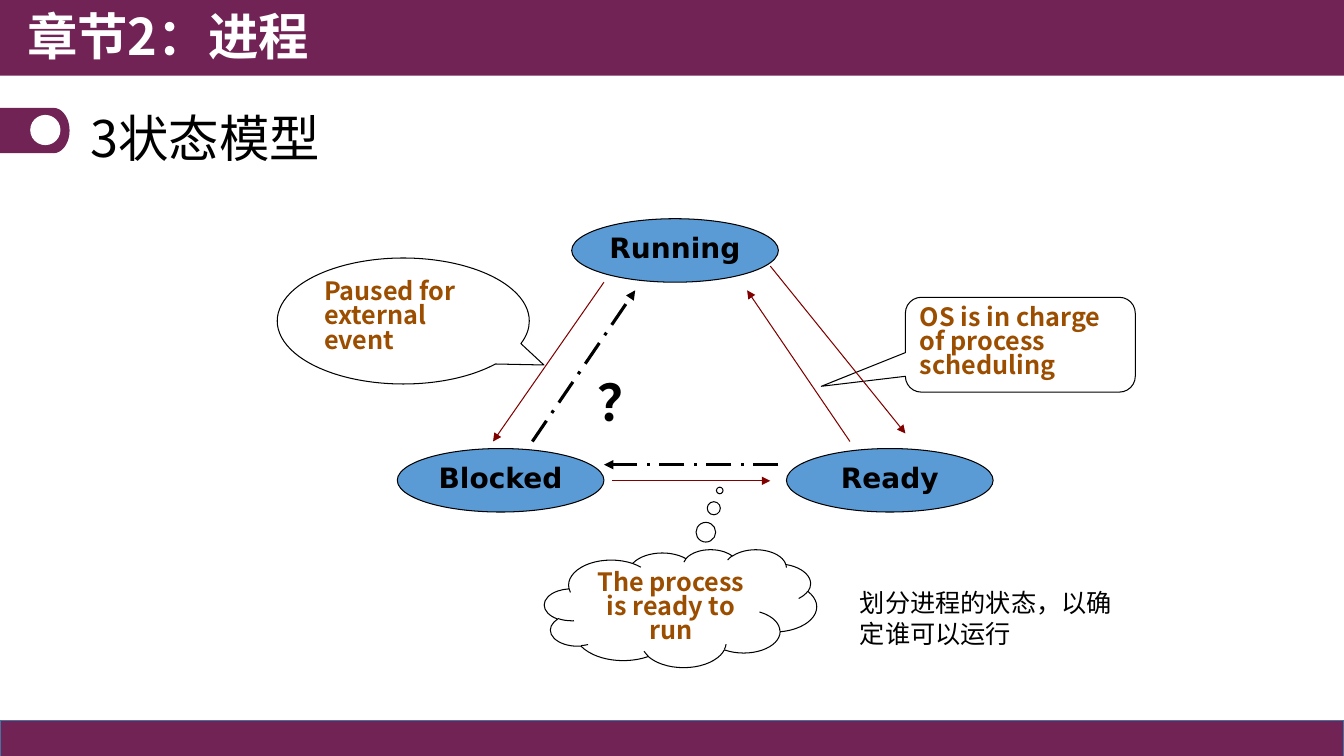
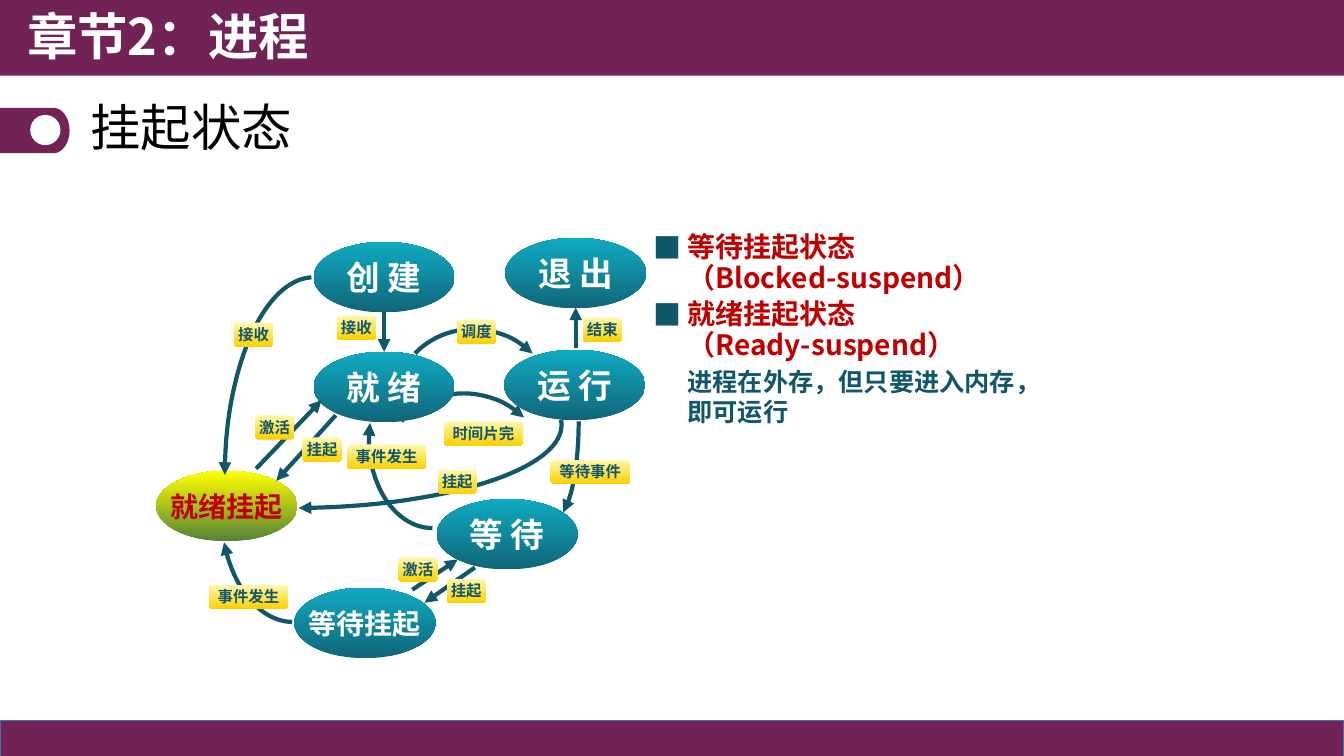
import math
from dataclasses import dataclass
from typing import Optional

from lxml import etree
from pptx import Presentation
from pptx import util as u
from pptx.dml.color import RGBColor
from pptx.enum import dml, shapes, text
from pptx.oxml.ns import qn

EMU_PER_PX = 9144
WIDTH, HEIGHT = 1333, 750
SANS, LATIN, SYMBOL = "Noto Sans CJK SC", "DejaVu Sans", "Noto Sans CJK JP"
COLORS = {
    "plum": "712355", "footer_edge": "43739E", "white": "FFFFFF", "black": "000000",
    "state": "5B9BD5", "maroon": "800000", "remark": "9C4E00",
    "teal": "11576A", "red": "C00000",
}
TEAL_STOPS = ((0, "116579"), (77, "0F9BB1"), (100, "0EABC2"))
LIME_STOPS = ((0, "548235"), (100, "FFFF00"))
LABEL_STOPS = ((0, "FFF9B1"), (100, "FDD000"))
SHAPE = shapes.MSO_SHAPE
LEFT, CENTER = text.PP_ALIGN.LEFT, text.PP_ALIGN.CENTER
TOP, MIDDLE, BOTTOM = text.MSO_ANCHOR.TOP, text.MSO_ANCHOR.MIDDLE, text.MSO_ANCHOR.BOTTOM


@dataclass(frozen=True)
class Box:
    left: int
    top: int
    width: int
    height: int

    def emu(self) -> tuple:
        return tuple(px(n) for n in (self.left, self.top, self.width, self.height))


@dataclass(frozen=True)
class Style:
    size: int
    color: str
    bold: bool = True
    font: str = SANS
    align: text.PP_ALIGN = LEFT
    spacing: Optional[float] = None


@dataclass(frozen=True)
class Callout:
    kind: shapes.MSO_SHAPE
    box: Box
    adjustments: tuple
    words: str
    align: text.PP_ALIGN = LEFT


@dataclass(frozen=True)
class Arrow:
    start: tuple
    end: tuple
    color: str = "teal"
    weight: float = 3
    dashed: bool = False


@dataclass(frozen=True)
class Arc:
    box: Box
    adjustments: tuple = ()
    rotation: int = 0
    flips: str = ""
    arrow_at: str = "tailEnd"


@dataclass(frozen=True)
class State:
    left: int
    top: int
    name: str
    size: int = 24
    color: str = "white"
    stops: tuple = TEAL_STOPS


@dataclass(frozen=True)
class Label:
    left: int
    top: int
    words: str


@dataclass(frozen=True)
class Point:
    words: str
    style: Style
    before: int
    bullet: bool = False


TITLE = Style(36, "black", bold=False, spacing=0.9)
STATE_NAME = Style(20, "black", font=LATIN, align=CENTER, spacing=0.8)
LABEL_TEXT = Style(11, "teal", align=CENTER)
SUSPEND = Style(20, "red", spacing=u.Pt(18))

THREE_STATES = (("Running", 567, 217), ("Blocked", 394, 445), ("Ready", 780, 445))
THREE_STATE_ARROWS = (
    Arrow((599, 280), (489, 438), "maroon", 0.75),
    Arrow((764, 264), (898, 430), "maroon", 0.75),
    Arrow((607, 477), (764, 477), "maroon", 0.75),
    Arrow((843, 438), (741, 288), "maroon", 0.75),
    Arrow((528, 438), (630, 288), "black", 2.25, True),
    Arrow((772, 461), (599, 461), "black", 2.25, True),
)
CALLOUTS = (
    Callout(SHAPE.CLOUD_CALLOUT, Box(540, 545, 270, 117), (0.144, -0.999),
            "The process is ready to run", CENTER),
    Callout(SHAPE.OVAL_CALLOUT, Box(275, 256, 250, 125), (0.558, 0.349),
            "Paused for external event"),
    Callout(SHAPE.ROUNDED_RECTANGULAR_CALLOUT, Box(898, 295, 228, 94), (-0.866, 0.439, 0.167),
            "OS is in charge of process scheduling"),
)

ARCS_BEHIND = (
    Arc(Box(524, 320, 50, 196), (0.08, 50.35)),
    Arc(Box(379, 389, 167, 172), (160.58, 215.56), 314),
    Arc(Box(391, 325, 162, 168), (), 314),
)
ARCS_IN_FRONT = (
    Arc(Box(18, 339, 539, 165), (215.38, 50.37)),
    Arc(Box(366, 348, 126, 176), (207.14, 54), 0, "H", "headEnd"),
    Arc(Box(219, 392, 143, 225), (15.68, 53.78), 0, "H", "headEnd"),
    Arc(Box(223, 275, 177, 395), (0.54, 53.54), 0, "HV", "headEnd"),
)
STATES = (
    State(311, 240, "创 建"),
    State(311, 349, "就 绪"),
    State(500, 347, "运 行"),
    State(433, 495, "等 待"),
    State(501, 236, "退 出"),
    State(155, 467, "就绪挂起", 20, "red", LIME_STOPS),
    State(292, 583, "等待挂起", 20),
)
SUSPEND_ARROWS = (
    Arrow((381, 310), (381, 349)),
    Arrow((571, 345), (571, 305)),
    Arrow((471, 563), (421, 598)),
    Arrow((409, 585), (454, 555)),
    Arrow((254, 465), (319, 397)),
    Arrow((333, 412), (274, 477)),
)
LABELS = (
    Label(434, 466, "挂起"), Label(232, 320, "接收"), Label(207, 580, "事件发生"),
    Label(334, 313, "接收"), Label(253, 412, "激活"), Label(300, 434, "挂起"),
    Label(344, 441, "事件发生"), Label(395, 553, "激活"), Label(443, 574, "挂起"),
    Label(546, 456, "等待事件"), Label(440, 418, "时间片完"), Label(453, 317, "调度"),
    Label(578, 315, "结束"),
)
POINTS = (
    Point("等待挂起状态", SUSPEND, 0, True),
    Point("（Blocked-suspend）", SUSPEND, 4),
    Point("就绪挂起状态", SUSPEND, 8, True),
    Point("（Ready-suspend）", SUSPEND, 4),
    Point("进程在外存，但只要进入内存，即可运行", Style(18, "teal"), 4),
)


def px(length: float) -> int:
    return u.Emu(round(length * EMU_PER_PX))


def rgb(name: str) -> RGBColor:
    return RGBColor.from_string(COLORS[name])


def format_paragraph(paragraph, style: Style) -> None:
    paragraph.alignment = style.align
    if style.spacing is not None:
        paragraph.line_spacing = style.spacing
    for run in paragraph.runs:
        font = run.font
        font.size, font.bold, font.name = u.Pt(style.size), style.bold, style.font
        font.color.rgb = rgb(style.color)
        etree.SubElement(run._r.rPr, qn("a:ea")).set("typeface", style.font)


def write(shape, words: str, style: Style, anchor=MIDDLE, wrap=True) -> None:
    frame = shape.text_frame
    frame.text = words
    frame.word_wrap = wrap
    frame.vertical_anchor = anchor
    format_paragraph(frame.paragraphs[0], style)


def add_text(slide, box: Box, words: str, style: Style, anchor=TOP) -> None:
    write(slide.shapes.add_textbox(*box.emu()), words, style, anchor)


def paint(shape, fill: Optional[str], line: Optional[str] = None, weight: float = 0.75) -> None:
    shape.shadow.inherit = False
    if fill:
        shape.fill.solid()
        shape.fill.fore_color.rgb = rgb(fill)
    else:
        shape.fill.background()
    if line:
        shape.line.color.rgb = rgb(line)
        shape.line.width = u.Pt(weight)
    else:
        shape.line.fill.background()


def paint_gradient(shape, stops: tuple, upward: bool) -> None:
    paint(shape, None)
    shape.fill.gradient()
    shape.fill.gradient_angle = 90 if upward else 270
    stop_list = shape._element.spPr.find(".//" + qn("a:gsLst"))
    for old in list(stop_list):
        stop_list.remove(old)
    for percent, color in stops:
        stop = etree.SubElement(stop_list, qn("a:gs"), pos=str(percent * 1000))
        etree.SubElement(stop, qn("a:srgbClr"), val=color)


def add_arrowhead(line, end: str = "tailEnd") -> None:
    etree.SubElement(line._get_or_add_ln(), qn("a:" + end), type="triangle")


def draw_arrow(slide, arrow: Arrow) -> None:
    ends = [px(n) for n in arrow.start + arrow.end]
    connector = slide.shapes.add_connector(shapes.MSO_CONNECTOR.STRAIGHT, *ends)
    connector.line.color.rgb = rgb(arrow.color)
    connector.line.width = u.Pt(arrow.weight)
    if arrow.dashed:
        connector.line.dash_style = dml.MSO_LINE.LONG_DASH_DOT
    add_arrowhead(connector.line)
    etree.SubElement(connector._element.spPr, qn("a:effectLst"))


def draw_arc(slide, arc: Arc) -> None:
    curve = slide.shapes.add_shape(SHAPE.ARC, *arc.box.emu())
    for index, value in enumerate(arc.adjustments):
        curve.adjustments[index] = value
    curve.rotation = arc.rotation
    for axis in arc.flips:
        curve._element.spPr.xfrm.set("flip" + axis, "1")
    paint(curve, None, "teal", 3)
    add_arrowhead(curve.line, arc.arrow_at)


def draw_state(slide, state: State) -> None:
    oval = slide.shapes.add_shape(SHAPE.OVAL, *Box(state.left, state.top, 140, 70).emu())
    paint_gradient(oval, state.stops, upward=True)
    write(oval, state.name, Style(state.size, state.color, align=CENTER), wrap=False)


def draw_label(slide, label: Label) -> None:
    box = Box(label.left, label.top, 20 * len(label.words) - 1, 24)
    tag = slide.shapes.add_shape(SHAPE.ROUNDED_RECTANGLE, *box.emu())
    paint_gradient(tag, LABEL_STOPS, upward=False)
    write(tag, label.words, LABEL_TEXT, wrap=False)


def draw_callout(slide, callout: Callout) -> None:
    bubble = slide.shapes.add_shape(callout.kind, *callout.box.emu())
    for index, value in enumerate(callout.adjustments):
        bubble.adjustments[index] = value
    paint(bubble, None, "black")
    write(bubble, callout.words, Style(18, "remark", align=callout.align, spacing=0.8), TOP)


def draw_points(slide, box: Box) -> None:
    frame = slide.shapes.add_textbox(*box.emu()).text_frame
    frame.word_wrap = True
    for index, point in enumerate(POINTS):
        paragraph = frame.add_paragraph() if index else frame.paragraphs[0]
        paragraph.text = point.words
        if index:
            paragraph.space_before = u.Pt(point.before)
        format_paragraph(paragraph, point.style)
        properties = paragraph._p.get_or_add_pPr()
        properties.set("marL", str(px(34)))
        properties.set("indent", str(px(-34 if point.bullet else 0)))
        if point.bullet:
            color = etree.SubElement(properties, qn("a:buClr"))
            etree.SubElement(color, qn("a:srgbClr"), val=COLORS["teal"])
            etree.SubElement(properties, qn("a:buFont"), typeface=SYMBOL)
            etree.SubElement(properties, qn("a:buChar"), char="■")


def draw_title_marker(slide) -> None:
    angles = [math.radians(degrees) for degrees in range(-90, 91, 10)]
    tip = [(px(53 + 16 * math.cos(a)), px(129.5 + 22.5 * math.sin(a))) for a in angles]
    builder = slide.shapes.build_freeform(px(0), px(107))
    builder.add_line_segments(tip + [(px(0), px(152))], close=True)
    paint(builder.convert_to_shape(), "plum")
    paint(slide.shapes.add_shape(SHAPE.OVAL, *Box(30, 114, 30, 30).emu()), "white")


def add_chapter_slide(deck, title: str, anchor):
    slide = deck.slides.add_slide(deck.slide_layouts[6])
    footer = slide.shapes.add_shape(SHAPE.RECTANGLE, *Box(0, 715, WIDTH, 36).emu())
    paint(footer, "plum", "footer_edge", 1)
    paint(slide.shapes.add_shape(SHAPE.RECTANGLE, *Box(-3, 0, WIDTH + 3, 75).emu()), "plum")
    add_text(slide, Box(17, 0, 667, 77), "章节2：进程", Style(36, "white"))
    add_text(slide, Box(80, 87, 1000, 85), title, TITLE, anchor)
    draw_title_marker(slide)
    return slide


def build_three_state_slide(deck) -> None:
    slide = add_chapter_slide(deck, "3状态模型", BOTTOM)
    for name, left, top in THREE_STATES:
        oval = slide.shapes.add_shape(SHAPE.OVAL, *Box(left, top, 205, 63).emu())
        paint(oval, "state", "black")
        write(oval, name, STATE_NAME, wrap=False)
    for callout in CALLOUTS:
        draw_callout(slide, callout)
    for arrow in THREE_STATE_ARROWS:
        draw_arrow(slide, arrow)
    add_text(slide, Box(583, 375, 55, 59), "？", Style(36, "black", font=LATIN, spacing=0.8))
    add_text(slide, Box(843, 578, 294, 71), "划分进程的状态，以确定谁可以运行",
             Style(18, "black", bold=False))


def build_suspend_slide(deck) -> None:
    slide = add_chapter_slide(deck, "挂起状态", MIDDLE)
    draw_points(slide, Box(638, 231, 417, 206))
    layers = ((draw_arc, ARCS_BEHIND), (draw_state, STATES), (draw_arc, ARCS_IN_FRONT),
              (draw_arrow, SUSPEND_ARROWS), (draw_label, LABELS))
    for draw, items in layers:
        for item in items:
            draw(slide, item)


def main() -> None:
    deck = Presentation()
    deck.slide_width, deck.slide_height = px(WIDTH), px(HEIGHT)
    build_three_state_slide(deck)
    build_suspend_slide(deck)
    deck.save("out.pptx")


if __name__ == "__main__":
    main()
